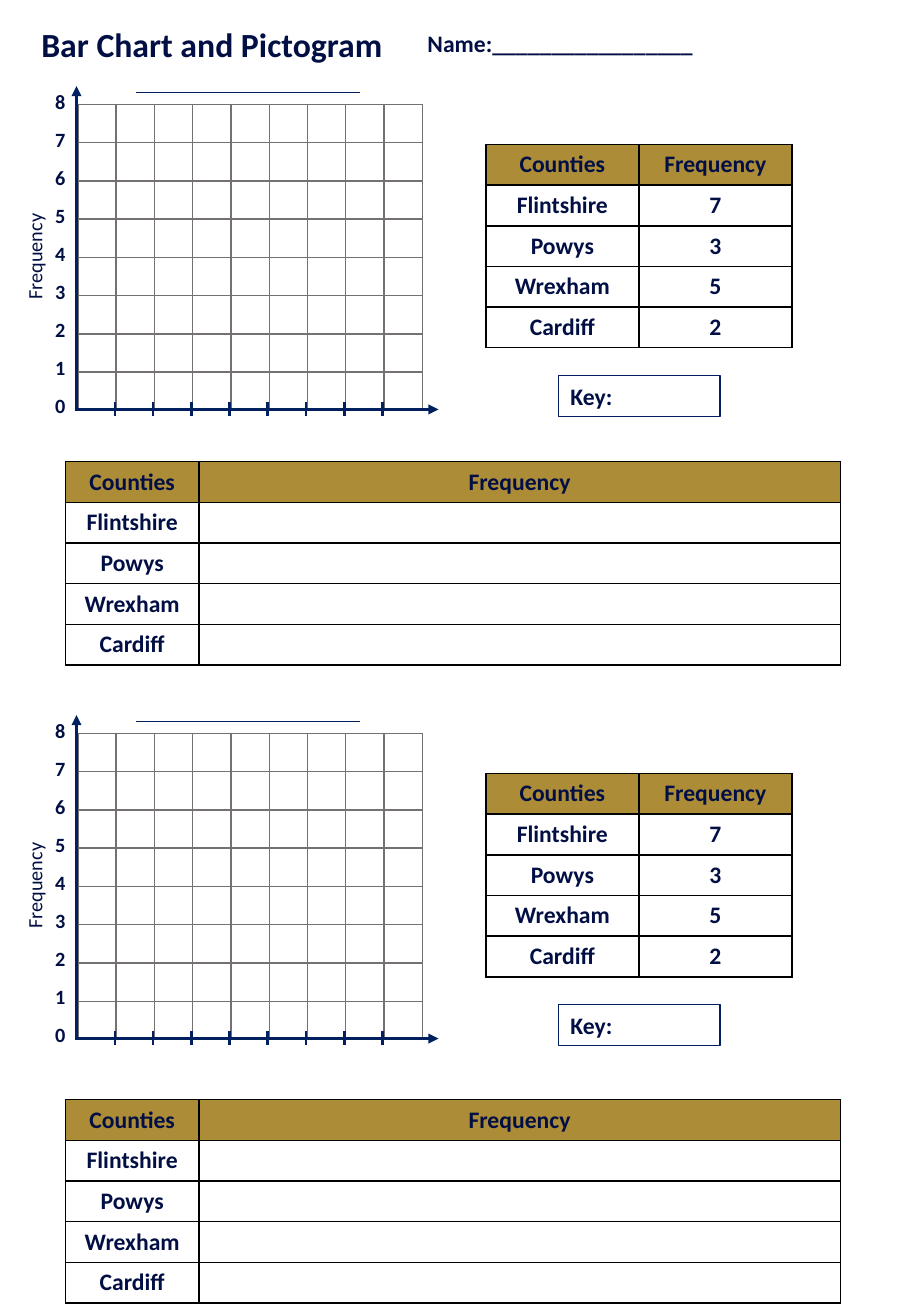
from dataclasses import dataclass

from lxml.etree import SubElement
from pptx import Presentation
from pptx.dml.color import RGBColor
from pptx.enum.shapes import MSO_CONNECTOR, MSO_SHAPE
from pptx.enum.text import MSO_ANCHOR, MSO_AUTO_SIZE, PP_ALIGN
from pptx.oxml.ns import qn
from pptx.shapes.autoshape import Shape
from pptx.shapes.shapetree import GroupShapes
from pptx.slide import Slide
from pptx.table import Table, _Cell
from pptx.text.text import TextFrame
from pptx.util import Cm, Pt

INK = RGBColor(0x02, 0x0F, 0x44)
NAVY = RGBColor(0x00, 0x20, 0x60)
GOLD = RGBColor(0xAC, 0x8C, 0x37)
GREY = RGBColor(0x76, 0x71, 0x71)
BLACK = RGBColor(0x00, 0x00, 0x00)
FONT = "Calibri"

HEADINGS = ["Counties", "Frequency"]
COUNTIES = {"Flintshire": 7, "Powys": 3, "Wrexham": 5, "Cardiff": 2}
FREQUENCY_ROWS = [HEADINGS] + [[name, str(count)] for name, count in COUNTIES.items()]
PICTOGRAM_ROWS = [HEADINGS] + [[name, ""] for name in COUNTIES]

SQUARE = 0.8
GRID_COLUMNS, GRID_ROWS = 9, 8
ROW_HEIGHT = 0.85


@dataclass(frozen=True)
class Box:
    left: float
    top: float
    width: float
    height: float

    def lengths(self) -> tuple[Cm, Cm, Cm, Cm]:
        return Cm(self.left), Cm(self.top), Cm(self.width), Cm(self.height)


@dataclass(frozen=True)
class Line:
    x1: float
    y1: float
    x2: float
    y2: float
    weight: float = 1.5
    arrow: bool = False


@dataclass(frozen=True)
class Exercise:
    shift: float
    pictogram_top: float


EXERCISES = [Exercise(0, 9.65), Exercise(13.15, 22.99)]


def write(frame: TextFrame, text: str, size: float, bold: bool = True,
          align: PP_ALIGN = PP_ALIGN.LEFT) -> None:
    para = frame.paragraphs[0]
    para.text = text
    para.alignment = align
    para.font.name = FONT
    para.font.size = Pt(size)
    para.font.bold = bold
    para.font.color.rgb = INK


def add_text(shapes: GroupShapes, box: Box, text: str, size: float, bold: bool = True,
             align: PP_ALIGN = PP_ALIGN.LEFT) -> Shape:
    label = shapes.add_textbox(*box.lengths())
    label.text_frame.word_wrap = False
    label.text_frame.auto_size = MSO_AUTO_SIZE.SHAPE_TO_FIT_TEXT
    write(label.text_frame, text, size, bold, align)
    return label


def add_line(page: Slide, line: Line) -> None:
    connector = page.shapes.add_connector(
        MSO_CONNECTOR.STRAIGHT, Cm(line.x1), Cm(line.y1), Cm(line.x2), Cm(line.y2))
    connector.line.color.rgb = NAVY
    connector.line.width = Pt(line.weight)
    if line.arrow:
        SubElement(connector.line._get_or_add_ln(), qn("a:tailEnd"), type="triangle")
    SubElement(connector._element.spPr, qn("a:effectLst"))


def set_borders(cell: _Cell, color: RGBColor) -> None:
    properties = cell._tc.get_or_add_tcPr()
    for side in ("a:lnL", "a:lnR", "a:lnT", "a:lnB"):
        border = SubElement(properties, qn(side), w=str(Pt(1)))
        fill = SubElement(border, qn("a:solidFill"))
        SubElement(fill, qn("a:srgbClr"), val=str(color))


def add_plain_table(page: Slide, left: float, top: float, widths: list[float],
                    row_count: int, row_height: float, color: RGBColor) -> Table:
    box = Box(left, top, sum(widths), row_count * row_height)
    table = page.shapes.add_table(row_count, len(widths), *box.lengths()).table
    table.first_row = table.horz_banding = False
    for column, width in zip(table.columns, widths):
        column.width = Cm(width)
    for row in table.rows:
        row.height = Cm(row_height)
    for cell in table.iter_cells():
        cell.margin_top = cell.margin_bottom = 0
        cell.vertical_anchor = MSO_ANCHOR.MIDDLE
        set_borders(cell, color)
        cell.fill.background()
    return table


def add_county_table(page: Slide, left: float, top: float, widths: list[float],
                     rows: list[list[str]]) -> None:
    table = add_plain_table(page, left, top, widths, len(rows), ROW_HEIGHT, BLACK)
    for row_index, texts in enumerate(rows):
        for column_index, text in enumerate(texts):
            cell = table.cell(row_index, column_index)
            if text:
                write(cell.text_frame, text, 14, align=PP_ALIGN.CENTER)
            if row_index == 0:
                cell.fill.solid()
                cell.fill.fore_color.rgb = GOLD


def add_bar_chart_frame(page: Slide, shift: float) -> None:
    # Squared grid
    add_plain_table(page, 1.63, 2.18 + shift, [SQUARE] * GRID_COLUMNS, GRID_ROWS, SQUARE, GREY)

    # Axes, ticks and the rule for the chart title
    axis = 8.56 + shift
    add_line(page, Line(1.57, axis, 9.17, axis, arrow=True))
    add_line(page, Line(1.6, axis + 0.02, 1.6, 1.8 + shift, arrow=True))
    for tick in range(1, GRID_COLUMNS):
        x = 1.6 + tick * SQUARE
        add_line(page, Line(x, axis - 0.15, x, axis + 0.13))
    add_line(page, Line(2.84, 1.93 + shift, 7.52, 1.93 + shift, weight=0.5))

    # Scale and axis label
    scale = page.shapes.add_group_shape()
    for value in range(GRID_ROWS + 1):
        box = Box(0.89, 8.1 + shift - value * 6.35 / GRID_ROWS, 0.74, 0.76)
        add_text(scale.shapes, box, str(value), 12, align=PP_ALIGN.CENTER)
    label = add_text(page.shapes, Box(-0.46, 4.95 + shift, 2.36, 0.76), "Frequency", 12, bold=False)
    label.rotation = 270


def add_key(page: Slide, shift: float) -> None:
    key = page.shapes.add_shape(MSO_SHAPE.RECTANGLE, *Box(11.68, 7.85 + shift, 3.38, 0.86).lengths())
    key.shadow.inherit = False
    key.fill.background()
    key.line.color.rgb = NAVY
    key.line.width = Pt(0.75)
    key.text_frame.word_wrap = True
    write(key.text_frame, "Key:", 14)


def add_heading(page: Slide) -> None:
    title = page.shapes.title
    title.left, title.top, title.width, title.height = Box(0.61, 0.36, 7.87, 1.12).lengths()
    title.text_frame.word_wrap = False
    title.text_frame.auto_size = MSO_AUTO_SIZE.SHAPE_TO_FIT_TEXT
    title.text_frame.vertical_anchor = MSO_ANCHOR.TOP
    write(title.text_frame, "Bar Chart and Pictogram", 20)
    add_text(page.shapes, Box(8.69, 0.48, 6.12, 0.86), "Name:_________________", 14)


def main() -> None:
    deck = Presentation()
    deck.slide_width, deck.slide_height = Cm(19.05), Cm(27.51)
    page = deck.slides.add_slide(deck.slide_layouts[5])
    add_heading(page)
    for exercise in EXERCISES:
        add_county_table(page, 10.16, 3.02 + exercise.shift, [3.2, 3.2], FREQUENCY_ROWS)
        add_bar_chart_frame(page, exercise.shift)
        add_key(page, exercise.shift)
        add_county_table(page, 1.37, exercise.pictogram_top, [2.79, 13.41], PICTOGRAM_ROWS)
    deck.save("out.pptx")


if __name__ == "__main__":
    main()
